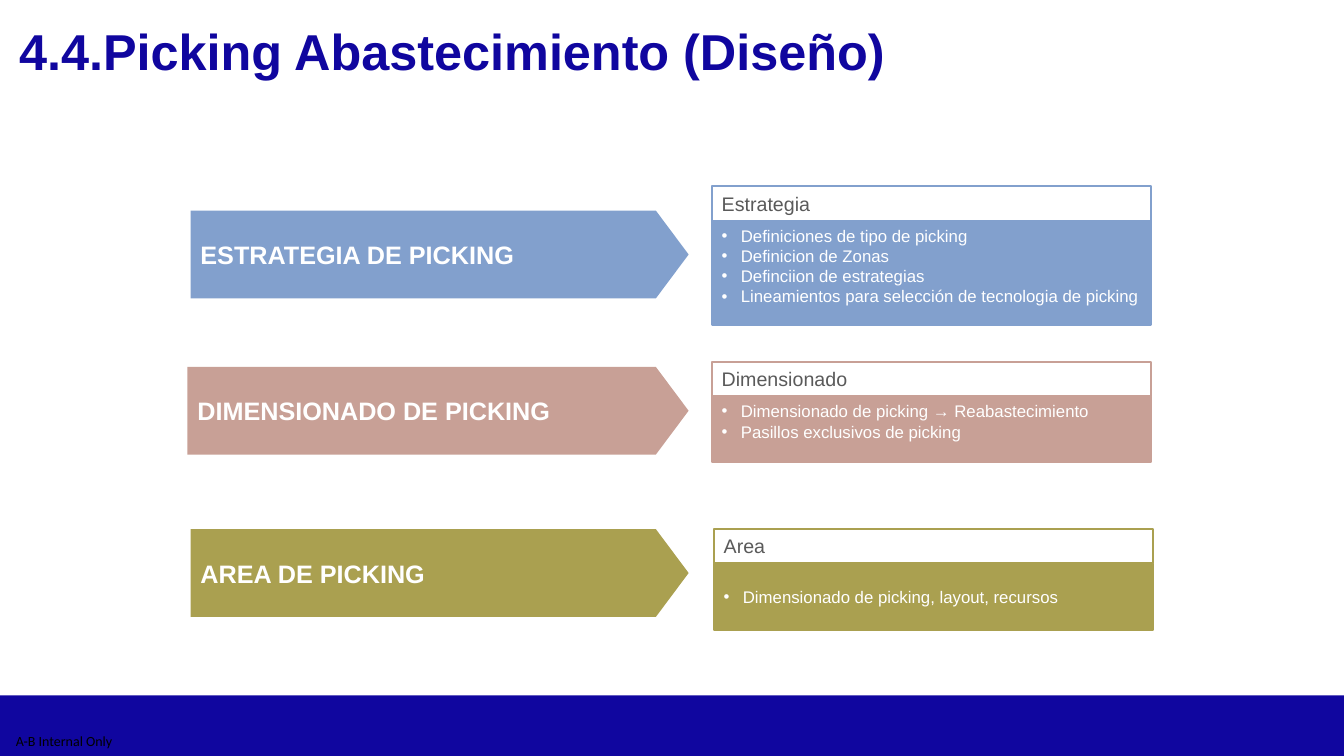
"""Builds the picking design slide: three arrows, each with a titled list panel."""
from lxml import etree
from pptx import Presentation
from pptx.dml.color import RGBColor
from pptx.enum.shapes import MSO_SHAPE
from pptx.enum.text import MSO_ANCHOR, PP_ALIGN
from pptx.oxml.ns import qn
from pptx.util import Inches, Pt

RECT, ARROW = MSO_SHAPE.RECTANGLE, MSO_SHAPE.PENTAGON
TOP, MIDDLE = MSO_ANCHOR.TOP, MSO_ANCHOR.MIDDLE
LEFT, CENTER = PP_ALIGN.LEFT, PP_ALIGN.CENTER
NAVY = RGBColor(0x10, 0x06, 0x9F)
BLUE = RGBColor(0x82, 0xA0, 0xCD)
ROSE = RGBColor(0xC8, 0xA0, 0x96)
OLIVE = RGBColor(0xAA, 0xA0, 0x50)
GREY = RGBColor(0x5A, 0x5A, 0x5A)
WHITE = RGBColor(0xFF, 0xFF, 0xFF)
BLACK = RGBColor(0x00, 0x00, 0x00)

WIDTH, HEIGHT = 13.33, 7.5
FOOTER_TOP = 0.92 * HEIGHT
ARROW_RIGHT, ARROW_HEIGHT = 6.83, 0.87
PANEL_WIDTH, HEADER_HEIGHT = 4.36, 0.34
INDENT = Inches(0.19)

TITLE_FONT = {"name": "Arial", "size": Pt(36), "bold": True}
ARROW_FONT = {"name": "Arial", "size": Pt(18), "bold": True}
HEADER_FONT = {"name": "Arial", "size": Pt(14), "bold": False}
LIST_FONT = {"name": "Arial", "size": Pt(12), "bold": False}
FOOTER_FONT = {"name": "Calibri", "size": Pt(10), "bold": False}

STAGES = [
    {"color": BLUE, "arrow": "ESTRATEGIA DE PICKING", "arrow_at": (1.89, 2.09),
     "header": "Estrategia", "panel_at": (7.06, 1.85), "list_height": 1.03, "anchor": TOP,
     "items": ["Definiciones de tipo de picking", "Definicion de Zonas", "Definciion de estrategias",
               "Lineamientos para selección de tecnologia de picking"]},
    {"color": ROSE, "arrow": "DIMENSIONADO DE PICKING", "arrow_at": (1.86, 3.64),
     "header": "Dimensionado", "panel_at": (7.06, 3.59), "list_height": 0.65, "anchor": TOP,
     "items": ["Dimensionado de picking → Reabastecimiento", "Pasillos exclusivos de picking"]},
    {"color": OLIVE, "arrow": "AREA DE PICKING", "arrow_at": (1.89, 5.25),
     "header": "Area", "panel_at": (7.08, 5.25), "list_height": 0.66, "anchor": MIDDLE,
     "items": ["Dimensionado de picking, layout, recursos"]},
]


def add_block(kind, area, fill, line=None):
    """Adds a flat shape with an optional outline."""
    block = page.shapes.add_shape(kind, *map(Inches, area))
    block.shadow.inherit = False
    block.fill.solid()
    block.fill.fore_color.rgb = fill
    if line is None:
        block.line.fill.background()
    else:
        block.line.color.rgb = line
        block.line.width = Pt(1.5)
    return block


def write(box, lines, font, color, anchor=TOP, align=LEFT, bullets=False):
    """Writes one paragraph per line, bulleted on request."""
    frame = box.text_frame
    frame.word_wrap = True
    frame.vertical_anchor = anchor
    frame.text = "\n".join(lines)
    for para in frame.paragraphs:
        para.alignment = align
        if bullets:
            layout = para._p.get_or_add_pPr()
            layout.set("marL", str(INDENT))
            layout.set("indent", str(-INDENT))
            bullet_color = etree.SubElement(layout, qn("a:buClr"))
            etree.SubElement(bullet_color, qn("a:srgbClr"), val=str(color))
            etree.SubElement(layout, qn("a:buFont"), typeface="Arial")
            etree.SubElement(layout, qn("a:buChar"), char="•")
        for span in para.runs:
            for name, value in font.items():
                setattr(span.font, name, value)
            span.font.color.rgb = color


deck = Presentation()
deck.slide_width, deck.slide_height = Inches(WIDTH), Inches(HEIGHT)
page = deck.slides.add_slide(deck.slide_layouts[6])

add_block(RECT, (0, FOOTER_TOP, WIDTH, HEIGHT - FOOTER_TOP), NAVY)

footer = page.shapes.add_textbox(*map(Inches, (0, 7.21, 1.27, 0.29)))
for side in ("left", "right", "top", "bottom"):
    setattr(footer.text_frame, f"margin_{side}", 0)
write(footer, ["A-B Internal Only"], FOOTER_FONT, BLACK, MIDDLE, CENTER)

title = page.shapes.add_textbox(*map(Inches, (0.09, 0.15, 12.72, 0.7)))
write(title, ["4.4.Picking Abastecimiento (Diseño)"], TITLE_FONT, NAVY)

for stage in STAGES:
    color = stage["color"]
    left, top = stage["arrow_at"]
    arrow = add_block(ARROW, (left, top, ARROW_RIGHT - left, ARROW_HEIGHT), color)
    arrow.adjustments[0] = 0.373
    write(arrow, [stage["arrow"]], ARROW_FONT, WHITE, MIDDLE)

    left, top = stage["panel_at"]
    body_area = (left, top + HEADER_HEIGHT, PANEL_WIDTH, stage["list_height"])
    body = add_block(RECT, body_area, color, color)
    write(body, stage["items"], LIST_FONT, WHITE, stage["anchor"], bullets=True)
    header = add_block(RECT, (left, top, PANEL_WIDTH, HEADER_HEIGHT), WHITE, color)
    write(header, [stage["header"]], HEADER_FONT, GREY)

deck.save("out.pptx")
